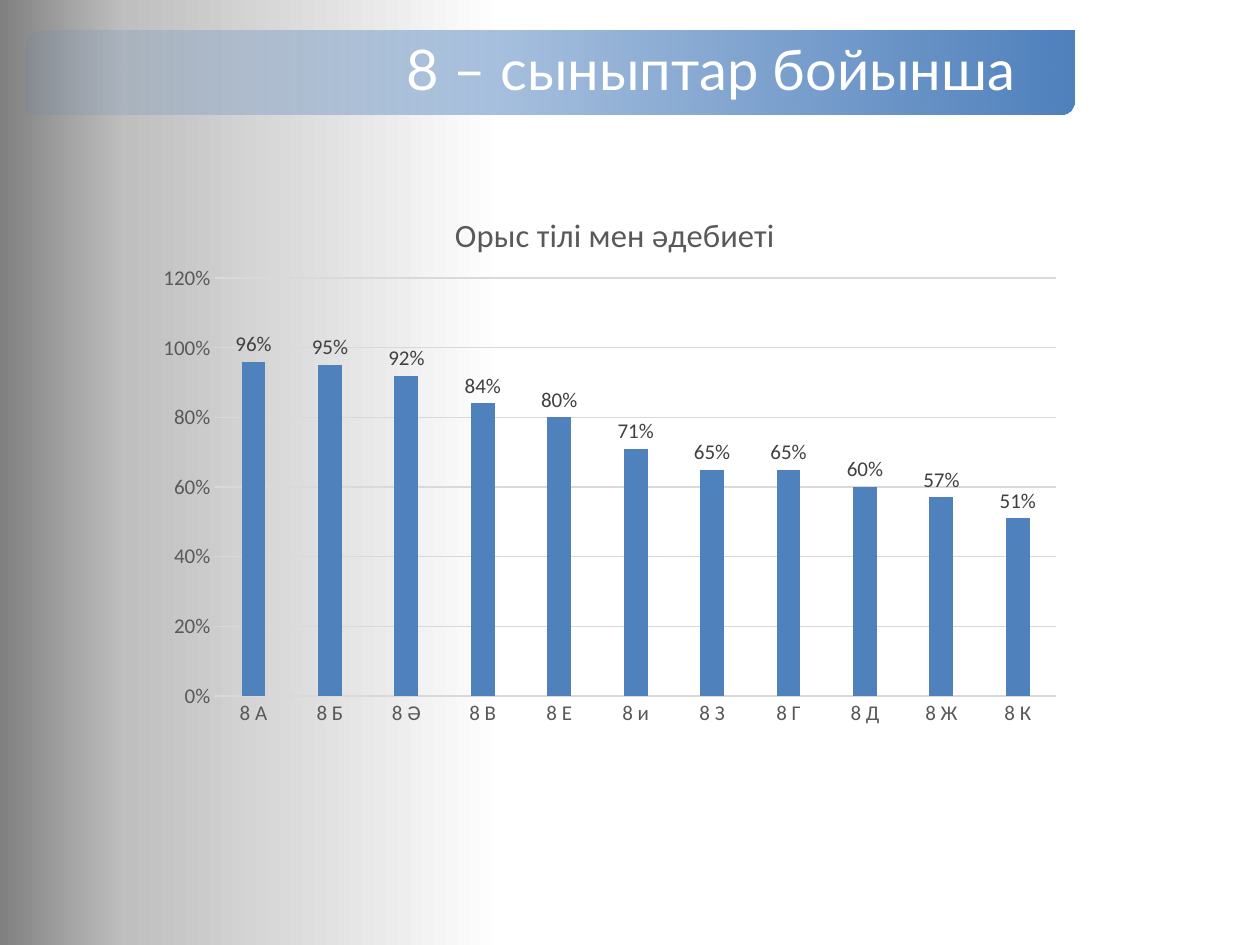
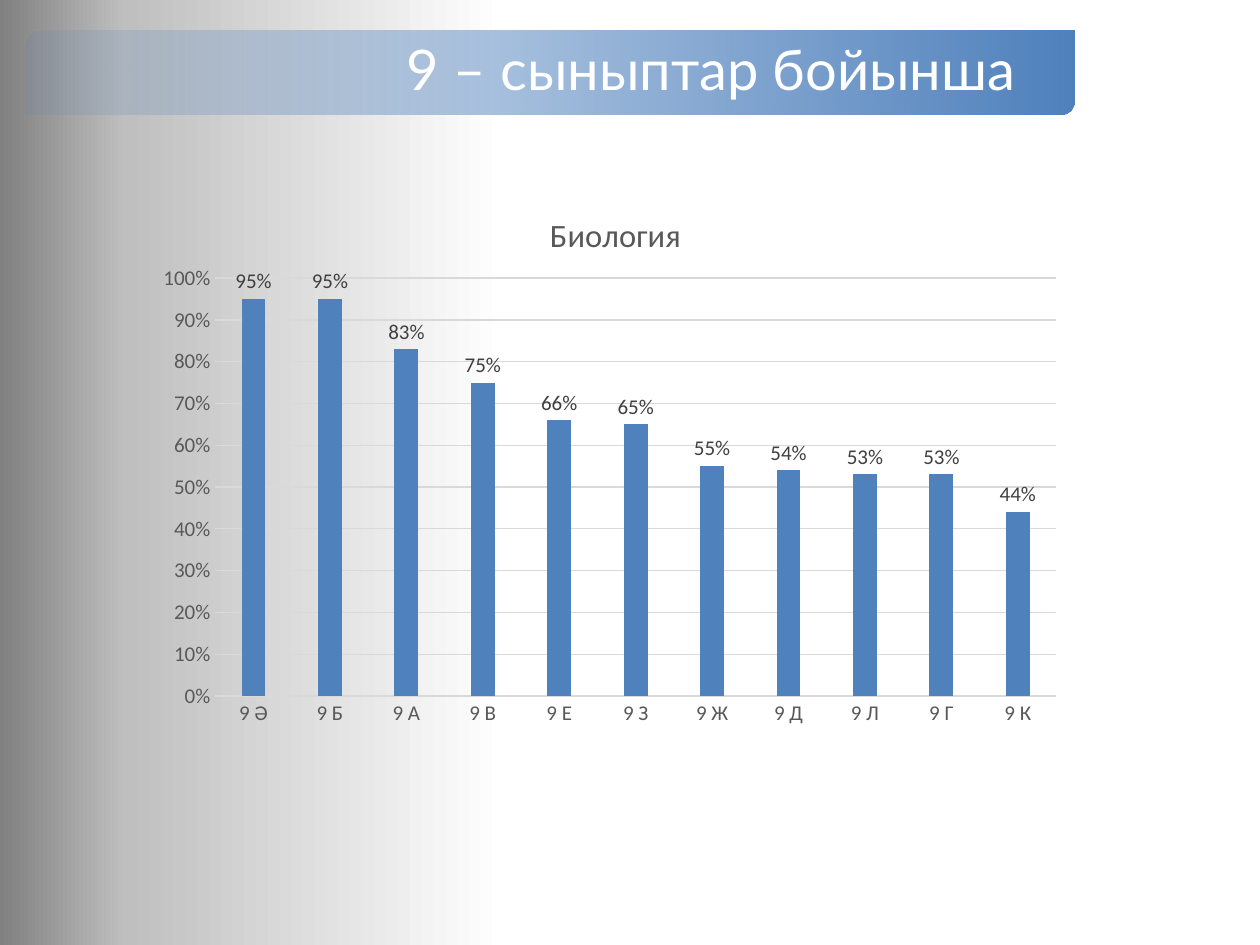
"""Builds two slides with class results as column charts."""
from lxml.etree import SubElement
from pptx import Presentation
from pptx.chart.data import CategoryChartData
from pptx.dml.color import RGBColor
from pptx.enum.chart import XL_CHART_TYPE as ChartType, XL_LABEL_POSITION as LabelPosition
from pptx.enum.chart import XL_TICK_MARK as TickMark
from pptx.enum.shapes import MSO_SHAPE as Shape
from pptx.enum.text import MSO_ANCHOR as Anchor, MSO_AUTO_SIZE as AutoSize, PP_ALIGN as Align
from pptx.oxml.ns import qn
from pptx.util import Inches, Pt

COLORS = {
    "white": "FFFFFF", "silver": "BFBFBF", "gray": "808080", "blue": "4F81BD",
    "grid": "D9D9D9", "axis": "595959", "label": "404040",
}
BAND = [Inches(value) for value in (0.2, 0.24, 8.33, 0.67)]
CHART = [Inches(value) for value in (1.14, 1.4, 7.39, 4.44)]
PLOT_LAYOUT = {"x": 0.077, "y": 0.182, "w": 0.903, "h": 0.747}

SLIDES = [
    {
        "title": "8 – сыныптар бойынша", "subject": "Орыс тілі мен әдебиеті",
        "grade": 8, "classes": "АБӘВЕиЗГДЖК",
        "percents": [96, 95, 92, 84, 80, 71, 65, 65, 60, 57, 51],
        "maximum": 1.2, "step": 0.2, "subject_left": 0.328,
    },
    {
        "title": "9 – сыныптар бойынша", "subject": "Биология",
        "grade": 9, "classes": "ӘБАВЕЗЖДЛГК",
        "percents": [95, 95, 83, 75, 66, 65, 55, 54, 53, 53, 44],
        "maximum": 1, "step": 0.1, "subject_left": 0.43,
    },
]


class Deck:
    """Holds the shared style and the current slide."""

    def __init__(self):
        self.presentation = Presentation()
        self.presentation.slide_width = Inches(10)
        self.presentation.slide_height = Inches(7.5)
        self.slide = None
        master = self.presentation.slide_master
        self.gradient(master.background.fill, master.element, 180,
                      [(60, "white", 100), (90, "silver", 100), (100, "gray", 100)])

    def color(self, name):
        """Returns a named colour."""
        return RGBColor.from_string(COLORS[name])

    def font(self, font, name, size, color):
        """Formats a font."""
        font.name = name
        font.size = Pt(size)
        font.bold = False
        font.color.rgb = self.color(color)

    def gradient(self, fill, element, angle, stops):
        """Gives a fill linear stops of position, colour and opacity in percent."""
        fill.gradient()
        fill.gradient_angle = angle
        stop_list = element.find(".//" + qn("a:gsLst"))
        for old_stop in list(stop_list):
            stop_list.remove(old_stop)
        for position, color, opacity in stops:
            stop = SubElement(stop_list, qn("a:gs"), pos=str(position * 1000))
            rgb = SubElement(stop, qn("a:srgbClr"), val=COLORS[color])
            if opacity < 100:
                SubElement(rgb, qn("a:alpha"), val=str(opacity * 1000))

    def add_slide(self):
        """Starts a title-only slide."""
        self.slide = self.presentation.slides.add_slide(self.presentation.slide_layouts[5])

    def band(self):
        """Draws the title band behind the title."""
        shape = self.slide.shapes.add_shape(Shape.ROUND_2_DIAG_RECTANGLE, *BAND)
        shape.shadow.inherit = False
        shape.line.fill.background()
        self.gradient(shape.fill, shape.element.spPr, 0, [(0, "blue", 10), (100, "blue", 100)])
        self.slide.shapes.title.element.addprevious(shape.element)

    def title(self, text):
        """Places and formats the slide title."""
        title = self.slide.shapes.title
        title.left, title.top, title.width, title.height = BAND
        frame = title.text_frame
        frame.text = text
        frame.word_wrap = True
        frame.auto_size = AutoSize.NONE
        frame.vertical_anchor = Anchor.MIDDLE
        frame.margin_left = Inches(3.03)
        frame.margin_top = frame.margin_right = frame.margin_bottom = Inches(0.17)
        paragraph = frame.paragraphs[0]
        paragraph.alignment = Align.LEFT
        paragraph.line_spacing = 0.9
        self.font(paragraph.runs[0].font, "Lato", 32, "white")

    def layout(self, parent, index, values):
        """Fixes the place of a chart part as fractions of the chart."""
        for old_layout in parent.findall(qn("c:layout")):
            parent.remove(old_layout)
        layout = SubElement(parent, qn("c:layout"))
        parent.insert(index, layout)
        manual = SubElement(layout, qn("c:manualLayout"))
        if "w" in values:
            SubElement(manual, qn("c:layoutTarget"), val="inner")
        for key in ("x", "y"):
            SubElement(manual, qn(f"c:{key}Mode"), val="edge")
        for key, value in values.items():
            SubElement(manual, qn(f"c:{key}"), val=str(value))

    def axis(self, axis):
        """Formats the parts common to both axes."""
        axis.major_tick_mark = axis.minor_tick_mark = TickMark.NONE
        self.font(axis.tick_labels.font, "Calibri", 12, "axis")

    def line(self, line):
        """Formats a thin grid line."""
        line.color.rgb = self.color("grid")
        line.width = Pt(0.75)

    def chart(self, content):
        """Draws the column chart of one subject."""
        data = CategoryChartData(number_format="0%")
        data.categories = [f"{content['grade']} {letter}" for letter in content["classes"]]
        data.add_series("Series 1", [percent / 100 for percent in content["percents"]])
        chart = self.slide.shapes.add_chart(ChartType.COLUMN_CLUSTERED, *CHART, data).chart
        chart.has_legend = False
        chart.font.name = "Calibri"
        chart.font.size = Pt(10)

        chart.has_title = True
        frame = chart.chart_title.text_frame
        frame.text = content["subject"]
        self.font(frame.paragraphs[0].runs[0].font, "Calibri", 18.6, "axis")
        chart_title = chart.element.find(".//" + qn("c:title"))
        self.layout(chart_title, 1, {"x": content["subject_left"], "y": 0.054})
        self.layout(chart.element.find(".//" + qn("c:plotArea")), 0, PLOT_LAYOUT)

        self.axis(chart.category_axis)
        self.line(chart.category_axis.format.line)
        values = chart.value_axis
        self.axis(values)
        self.line(values.major_gridlines.format.line)
        values.format.line.fill.background()
        values.tick_labels.number_format = "0%"
        values.tick_labels.number_format_is_linked = False
        values.minimum_scale, values.maximum_scale = 0, content["maximum"]
        values.major_unit = content["step"]

        plot = chart.plots[0]
        plot.gap_width, plot.overlap = 219, -27
        plot.vary_by_categories = False
        series = plot.series[0]
        series.format.fill.solid()
        series.format.fill.fore_color.rgb = self.color("blue")
        labels = series.data_labels
        labels.show_value = True
        labels.position = LabelPosition.OUTSIDE_END
        labels.number_format = "0%"
        labels.number_format_is_linked = False
        self.font(labels.font, "Calibri", 12, "label")


def main():
    """Builds and saves the slides."""
    deck = Deck()
    for content in SLIDES:
        deck.add_slide()
        deck.band()
        deck.title(content["title"])
        deck.chart(content)
    deck.presentation.save("out.pptx")


if __name__ == "__main__":
    main()
